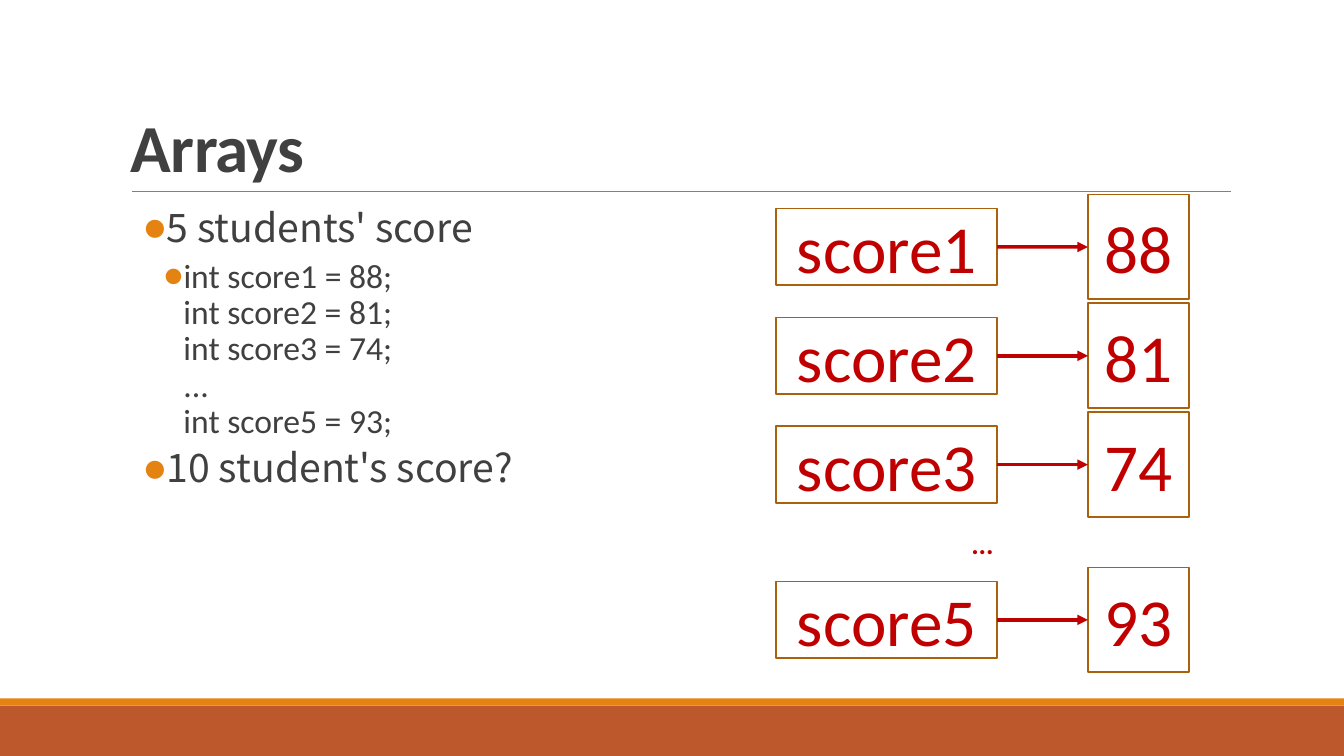
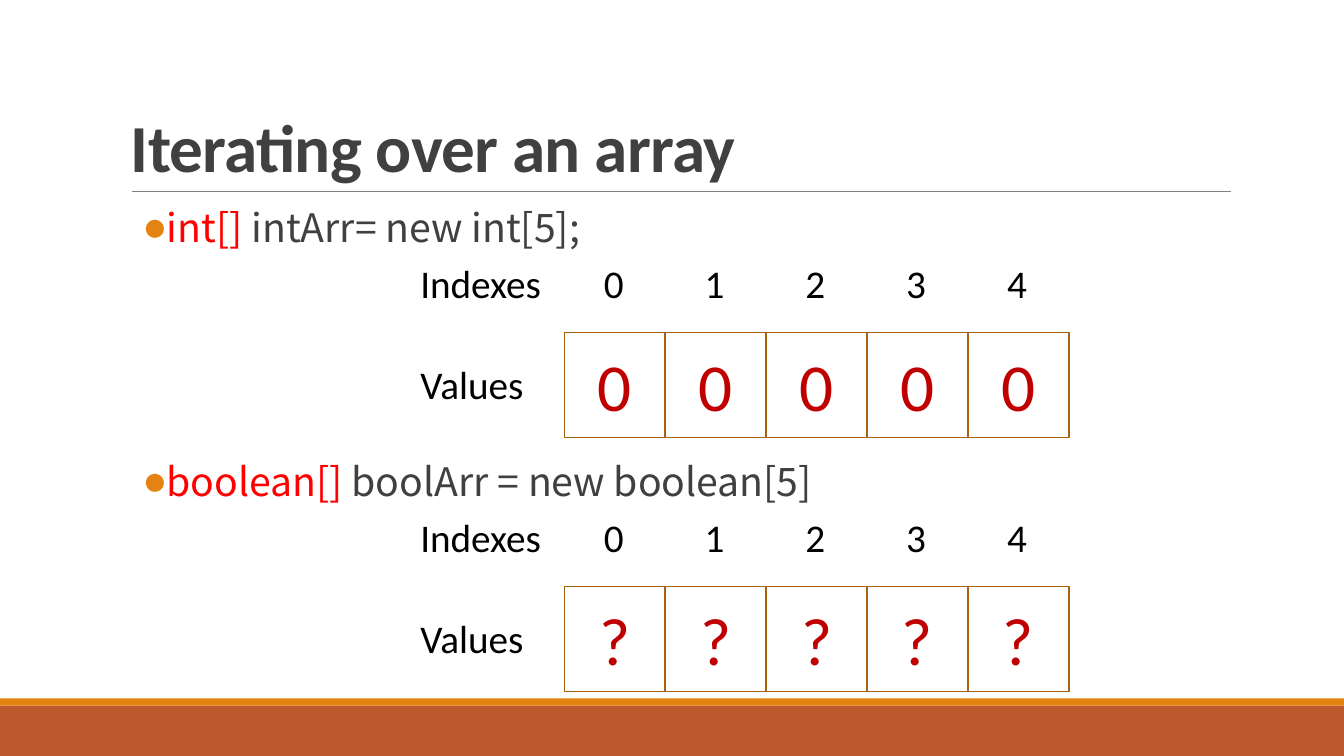
from dataclasses import dataclass
from typing import Any

from lxml import etree
from pptx import Presentation
from pptx import util as u
from pptx.dml.color import RGBColor
from pptx.enum import shapes, text
from pptx.oxml import ns


@dataclass(frozen=True)
class Theme:
    ink: str = "404040"
    black: str = "000000"
    red: str = "C00000"
    key: str = "FF0000"
    edge: str = "A9610D"
    rule: str = "808080"
    base: str = "BD582C"
    trim: str = "E48312"
    sans: str = "Calibri"
    wide: str = "Noto Sans CJK SC"
    big: int = 48
    mid: int = 28
    code: int = 24
    dots: int = 20


@dataclass(frozen=True)
class Area:
    col: float
    row: float
    cols: float
    rows: float

    def spots(self) -> list[int]:
        return [u.Inches(n) for n in (self.col, self.row, self.cols, self.rows)]


@dataclass(frozen=True)
class Style:
    size: int
    tint: str
    face: str = "Calibri"
    bold: bool = False


@dataclass(frozen=True)
class Item:
    bits: tuple[tuple[str, str], ...]
    level: int = 0


@dataclass(frozen=True)
class Score:
    name: str
    value: str = ""


@dataclass(frozen=True)
class Array:
    kind: str
    rest: str
    value: str


T = Theme()
WIDE, HIGH = 13.33, 7.5
CELL = Area(0, 0, 1, 1.04)
NAME = Area(7.7, 0, 2.19, 0.76)
STEP, SKIP = 1.08, 0.46
BLOCK = 2.52
BODY = Area(1.2, 2.02, 11, 4.4)
LEVELS = ((0.42, T.mid, T.wide), (0.62, T.code, T.sans))

SCORES = (Score("score1", "88"), Score("score2", "81"), Score("score3", "74"),
          Score("..."), Score("score5", "93"))
CODE = "int score1 = 88;\nint score2 = 81;\nint score3 = 74;\n...\nint score5 = 93;"
ITEMS = (Item((("5 students' score", T.ink),)),
         Item(((CODE, T.ink),), 1),
         Item((("10 student's score?", T.ink),)))
ARRAYS = (Array("int[] ", "intArr= new int[5];", "0"),
          Array("boolean[] ", "boolArr = new boolean[5]", "?"))


def put(thing: Any, form: dict[str, Any]) -> None:
    for key, value in form.items():
        setattr(thing, key, value)


def add(home: Any, tag: str, **marks: str) -> Any:
    node = etree.SubElement(home, ns.qn(tag))
    for key, value in marks.items():
        node.set(key, value)
    return node


def ink(run: Any, style: Style) -> None:
    put(run.font, {"size": u.Pt(style.size), "name": style.face, "bold": style.bold})
    run.font.color.rgb = RGBColor.from_string(style.tint)


def write(frame: Any, words: str, style: Style, **form: Any) -> Any:
    para = frame.paragraphs[0]
    para.text = words
    put(para, form)
    ink(para.runs[0], style)
    return para


def label(page: Any, area: Area, words: str, style: Style, **form: Any) -> Any:
    frame = page.shapes.add_textbox(*area.spots()).text_frame
    frame.word_wrap = False
    return write(frame, words, style, **form)


def rect(page: Any, area: Area, fill: str = "", edge: str = "") -> Any:
    box = page.shapes.add_shape(shapes.MSO_SHAPE.RECTANGLE, *area.spots())
    box.shadow.inherit = False
    if fill:
        box.fill.solid()
        box.fill.fore_color.rgb = RGBColor.from_string(fill)
    else:
        box.fill.background()
    if edge:
        box.line.color.rgb = RGBColor.from_string(edge)
        box.line.width = u.Pt(1.25)
    else:
        box.line.fill.background()
    return box


def cell(page: Any, area: Area, words: str) -> Any:
    box = rect(page, area, edge=T.edge)
    box.text_frame.vertical_anchor = text.MSO_ANCHOR.MIDDLE
    write(box.text_frame, words, Style(T.big, T.red), alignment=text.PP_ALIGN.CENTER)
    return box


def line(page: Any, tint: str, width: float, ends: tuple[float, ...] = (0, 0, 0, 0)) -> Any:
    link = page.shapes.add_connector(shapes.MSO_CONNECTOR.STRAIGHT, *map(u.Inches, ends))
    link.line.color.rgb = RGBColor.from_string(tint)
    link.line.width = u.Pt(width)
    add(link._element.spPr, "a:effectLst")
    return link


def arrow(page: Any, start: Any, end: Any) -> None:
    link = line(page, T.red, 2.5)
    link.begin_connect(start, 3)
    link.end_connect(end, 1)
    add(link.line._get_or_add_ln(), "a:tailEnd", type="triangle")


def bullets(page: Any, area: Area, items: tuple[Item, ...]) -> None:
    frame = page.shapes.add_textbox(*area.spots()).text_frame
    put(frame, {"word_wrap": True, "margin_left": 0, "margin_right": 0})
    for spot, item in enumerate(items):
        para = frame.add_paragraph() if spot else frame.paragraphs[0]
        left, size, face = LEVELS[item.level]
        put(para, {"level": item.level, "line_spacing": 0.9,
                   "space_before": u.Pt(2), "space_after": u.Pt(4)})
        props = para._p.get_or_add_pPr()
        props.set("marL", str(u.Inches(left)))
        props.set("indent", str(u.Inches(-0.2)))
        add(add(props, "a:buClr"), "a:srgbClr", val=T.trim)
        add(props, "a:buFont", typeface=T.sans)
        add(props, "a:buChar", char="●")
        for words, tint in item.bits:
            for row, part in enumerate(words.split("\n")):
                if row:
                    para.add_line_break()
                run = para.add_run()
                run.text = part
                ink(run, Style(size, tint, face))


def start(deck: Any, title: str) -> Any:
    page = deck.slides.add_slide(deck.slide_layouts[6])
    rect(page, Area(0, 7, WIDE, 0.5), T.base)
    rect(page, Area(0, 6.93, WIDE, 0.07), T.trim)
    line(page, T.rule, 0.5, (1.31, 1.9, 12.21, 1.9))
    frame = page.shapes.add_textbox(*Area(1.2, 0.31, 11, 1.59).spots()).text_frame
    put(frame, {"word_wrap": True, "vertical_anchor": text.MSO_ANCHOR.BOTTOM})
    para = write(frame, title, Style(T.big, T.ink, bold=True), line_spacing=0.85)
    para.runs[0]._r.get_or_add_rPr().set("spc", "-50")
    return page


def scores(deck: Any) -> None:
    page = start(deck, "Arrays")
    bullets(page, BODY, ITEMS)
    top = 1.93
    for score in SCORES:
        if not score.value:
            label(page, Area(9.53, top, 0.43, 0.44), score.name,
                  Style(T.dots, T.red, bold=True), alignment=text.PP_ALIGN.CENTER)
            top += SKIP
            continue
        drop = (CELL.rows - NAME.rows) / 2
        value = cell(page, Area(10.79, top, CELL.cols, CELL.rows), score.value)
        name = cell(page, Area(NAME.col, top + drop, NAME.cols, NAME.rows), score.name)
        arrow(page, name, value)
        top += STEP


def arrays(deck: Any) -> None:
    page = start(deck, "Iterating over an array")
    style = Style(T.mid, T.black)
    for spot, array in enumerate(ARRAYS):
        top = BODY.row + spot * BLOCK
        item = Item(((array.kind, T.key), (array.rest, T.ink)))
        bullets(page, Area(BODY.col, top, BODY.cols, 0.6), (item,))
        label(page, Area(4.07, top + 0.5, 1.41, 0.57), "Indexes", style)
        label(page, Area(4.07, top + 1.51, 1.24, 0.57), "Values", style)
        for index in range(5):
            left = 5.6 + index * CELL.cols
            label(page, Area(left + 0.29, top + 0.5, 0.4, 0.57), str(index), style)
            cell(page, Area(left, top + 1.28, CELL.cols, CELL.rows), array.value)


def main() -> None:
    deck = Presentation()
    put(deck, {"slide_width": u.Inches(WIDE), "slide_height": u.Inches(HIGH)})
    scores(deck)
    arrays(deck)
    deck.save("out.pptx")


if __name__ == "__main__":
    main()
